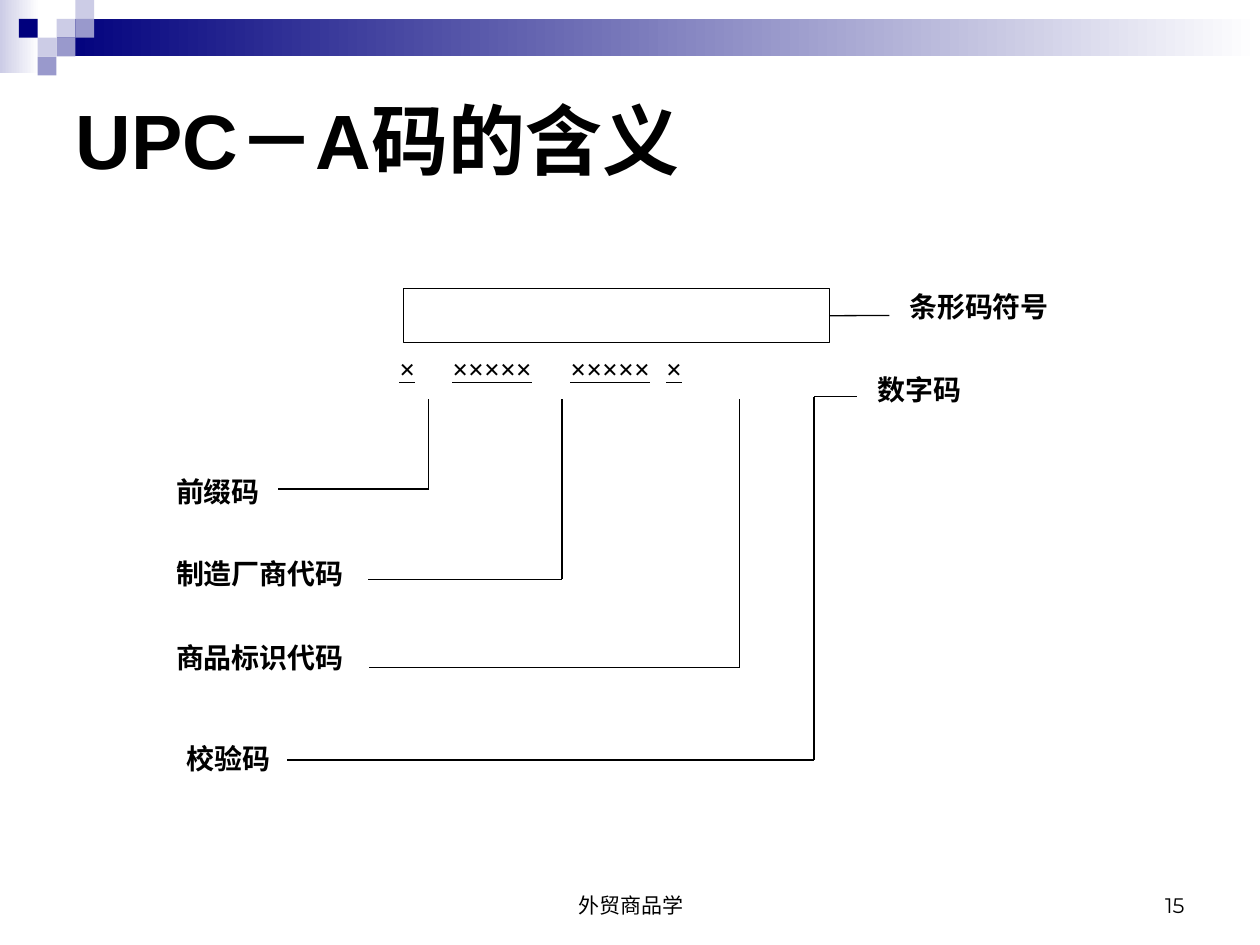
from lxml import etree
from pptx import Presentation
from pptx.dml.color import RGBColor
from pptx.enum.shapes import MSO_CONNECTOR, MSO_SHAPE
from pptx.enum.text import MSO_ANCHOR, PP_ALIGN
from pptx.oxml.ns import qn
from pptx.util import Cm, Pt

RECTANGLE = MSO_SHAPE.RECTANGLE
STRAIGHT = MSO_CONNECTOR.STRAIGHT
LEFT, CENTER, RIGHT, JUSTIFY = PP_ALIGN.LEFT, PP_ALIGN.CENTER, PP_ALIGN.RIGHT, PP_ALIGN.JUSTIFY
TOP, MIDDLE, BOTTOM = MSO_ANCHOR.TOP, MSO_ANCHOR.MIDDLE, MSO_ANCHOR.BOTTOM
RIGHT_SIDE = 3

TITLE_ONLY = 5
CJK_FONT = "Noto Sans CJK SC"
NAVY, LILAC, PALE, WHITE, BLACK = "00007D", "9999CC", "CCCCE6", "FFFFFF", "000000"


def color(hex_string):
    return RGBColor.from_string(hex_string)


def format_run(span, size, font, bold=False, underline=False):
    span.font.size = Pt(size)
    span.font.name = font
    span.font.bold = bold
    span.font.underline = underline
    span.font.color.rgb = color(BLACK)
    east_asian = etree.Element(qn("a:ea"), typeface=CJK_FONT)
    span.font._element.find(qn("a:latin")).addnext(east_asian)


def add_text(page, box, text, size, font, bold=False, align=JUSTIFY, anchor=TOP):
    frame = page.shapes.add_textbox(*map(Cm, box)).text_frame
    frame.word_wrap = True
    frame.vertical_anchor = anchor
    para = frame.paragraphs[0]
    para.text = text
    para.alignment = align
    format_run(para.runs[0], size, font, bold)


def add_rectangle(page, box):
    shape = page.shapes.add_shape(RECTANGLE, *map(Cm, box))
    shape.shadow.inherit = False
    shape.fill.solid()
    shape.fill.fore_color.rgb = color(WHITE)
    shape.line.fill.background()
    return shape


def add_gradient(page, box, start):
    """Add a rectangle that fades from the start colour to white, left to right."""
    fill = add_rectangle(page, box).fill
    fill.gradient()
    fill.gradient_angle = 0
    for stop, position, shade in zip(fill.gradient_stops, (0, 1), (start, WHITE)):
        stop.position = position
        stop.color.rgb = color(shade)


def add_line(page, x1, y1, x2, y2):
    line = page.shapes.add_connector(STRAIGHT, Cm(x1), Cm(y1), Cm(x2), Cm(y2))
    line.line.color.rgb = color(BLACK)
    line.line.width = Pt(0.75)
    etree.SubElement(line._element.spPr, qn("a:effectLst"))
    return line


def add_header(page, box):
    left, top, width, height = box
    cell = 0.38
    add_gradient(page, (left, top, 0.79, height), PALE)
    add_gradient(page, (left + 3 * cell, top + cell, width - 3 * cell, 2 * cell), NAVY)
    squares = [(3, 1, PALE), (4, 0, PALE), (4, 1, LILAC), (2, 2, PALE),
               (1, 1, NAVY), (3, 2, LILAC), (2, 3, LILAC)]
    for column, row, shade in squares:
        square = add_rectangle(page, (left + column * cell, top + row * cell, cell, cell))
        square.fill.fore_color.rgb = color(shade)


def add_title(page, box, text):
    title = page.shapes.title
    title.left, title.top, title.width, title.height = map(Cm, box)
    frame = title.text_frame
    frame.text = text
    frame.vertical_anchor = MIDDLE
    frame.paragraphs[0].alignment = LEFT
    format_run(frame.paragraphs[0].runs[0], 44, "Arial", bold=True)


def add_digits(page, box):
    """Add the underlined digit groups, spaced by tab stops."""
    frame = page.shapes.add_textbox(*map(Cm, box)).text_frame
    frame.word_wrap = True
    frame.margin_left = Cm(0.53)
    para = frame.paragraphs[0]
    para.alignment = LEFT
    stops = etree.SubElement(para._p.get_or_add_pPr(), qn("a:tabLst"))
    for position in (1.07, 3.45, 5.38):
        etree.SubElement(stops, qn("a:tab"), pos=str(int(Cm(position))), algn="l")
    for index, count in enumerate((1, 5, 5, 1)):
        if index:
            gap = para.add_run()
            gap.text = "\t"
            format_run(gap, 10, CJK_FONT)
        span = para.add_run()
        span.text = "×" * count
        format_run(span, 16, "Times New Roman", bold=True, underline=True)


def add_code_diagram(page, box):
    left, top, width, height = box

    barcode = add_rectangle(page, (left + 4.83, top + 0.1, 8.59, 1.09))
    barcode.line.color.rgb = color(BLACK)
    barcode.line.width = Pt(0.75)
    symbol_y = top + 0.64
    leader = add_line(page, left + 13.42, symbol_y, left + 14.63, symbol_y)
    leader.begin_connect(barcode, RIGHT_SIDE)
    add_digits(page, (left + 4.22, top + 1.24, 11, 1.63))

    labels = [
        ("条形码符号", 14.78, 0, 4.01),
        ("数字码", 14.15, 1.67, 2.9),
        ("前缀码", 0, 3.73, 2.9),
        ("制造厂商代码", 0, 5.38, 4.62),
        ("商品标识代码", 0, 7.06, 4.62),
        ("校验码", 0.21, 9.11, 2.9),
    ]
    for text, x, y, label_width in labels:
        add_text(page, (left + x, top + y, label_width, 1.14), text, 16,
                 "Times New Roman", bold=True)

    # Each leader runs from a label to its corner, then up to the digits.
    digits_y, check_x = 2.28, 13.11
    leaders = [(2.31, 4.14, 5.34, 2.33), (4.12, 5.96, 8.03, 2.33),
               (4.14, 7.74, 11.61, 2.33), (2.49, 9.6, check_x, digits_y)]
    for start_x, y, corner_x, end_y in leaders:
        add_line(page, left + start_x, top + y, left + corner_x, top + y)
        add_line(page, left + corner_x, top + end_y, left + corner_x, top + y)
    add_line(page, left + check_x, top + digits_y, left + 13.97, top + digits_y)


def add_footer(page, box):
    left, top, width, height = box
    add_text(page, (left, top, 8.05, height), "外贸商品学", 12, "Arial",
             align=CENTER, anchor=BOTTOM)
    number_width = 5.92
    add_text(page, (left + width - number_width, top, number_width, height), "15", 12,
             "Montserrat", align=RIGHT, anchor=BOTTOM)


def main():
    deck = Presentation()
    deck.slide_width, deck.slide_height = Cm(25.4), Cm(19.05)
    page = deck.slides.add_slide(deck.slide_layouts[TITLE_ONLY])
    add_header(page, (0, 0, 25.4, 1.47))
    add_title(page, (1.27, 1.27, 22.86, 3.05), "UPC－A码的含义")
    add_code_diagram(page, (3.3, 5.72, 18.8, 10.25))
    add_footer(page, (8.69, 17.35, 15.44, 1.27))
    deck.save("out.pptx")


if __name__ == "__main__":
    main()
